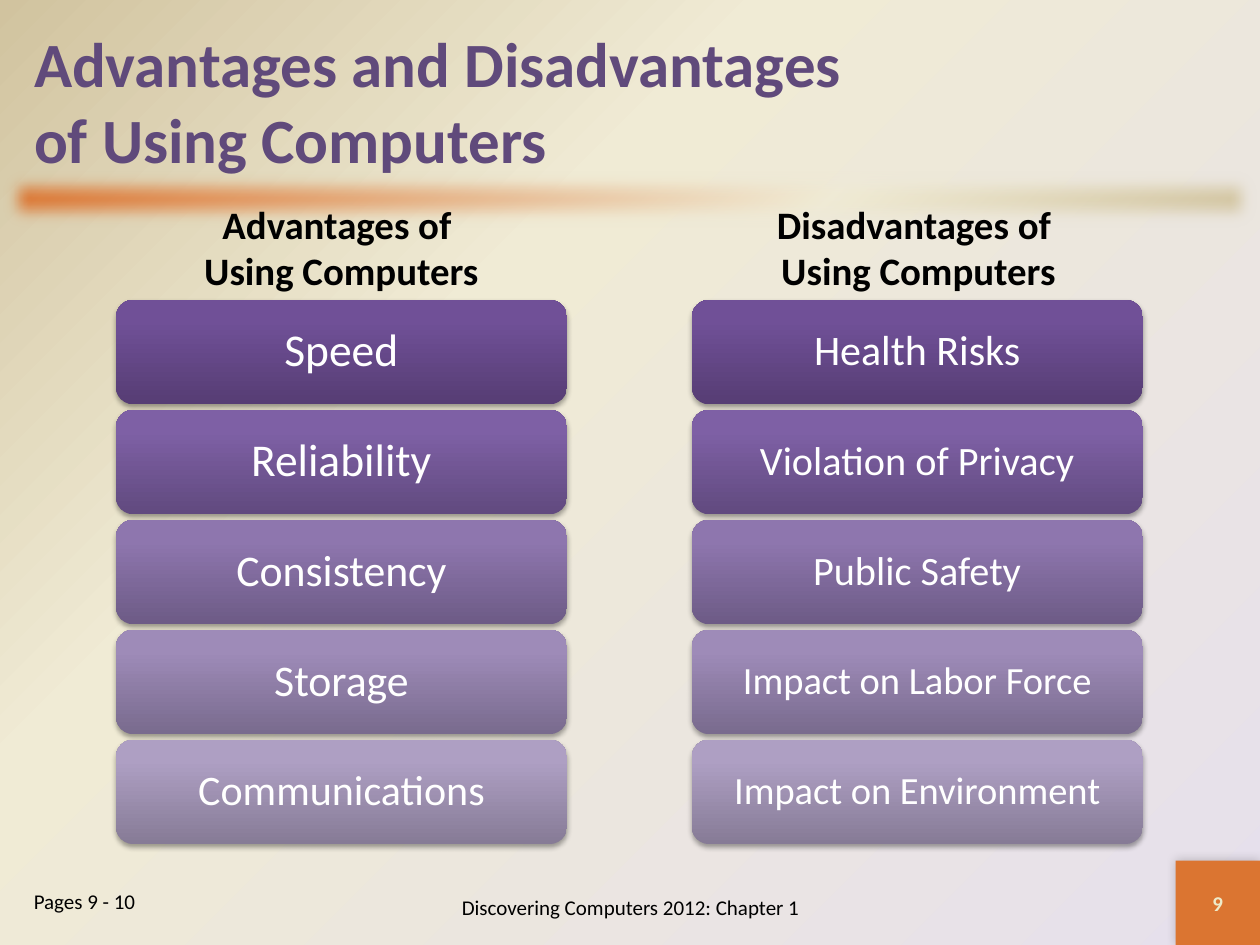
from lxml import etree
from pptx import Presentation
from pptx.dml.color import RGBColor
from pptx.enum.shapes import MSO_SHAPE
from pptx.enum.text import MSO_ANCHOR, MSO_AUTO_SIZE, PP_ALIGN
from pptx.oxml.ns import qn
from pptx.util import Inches, Pt

LEFT, CENTER = PP_ALIGN.LEFT, PP_ALIGN.CENTER
TOP, MIDDLE, BOTTOM = MSO_ANCHOR.TOP, MSO_ANCHOR.MIDDLE, MSO_ANCHOR.BOTTOM
RECTANGLE, ROUNDED = MSO_SHAPE.RECTANGLE, MSO_SHAPE.ROUNDED_RECTANGLE
NO_AUTOFIT = MSO_AUTO_SIZE.NONE
FONT = "Calibri"

COLORS = {
    "title": "604A7B", "text": "000000", "box_text": "FFFFFF",
    "number": "EEEBCA", "orange": "DB7531", "cream": "F0EBD5",
    "tan": "D1C39F", "lavender": "E6E0EC",
}
BOX_GRADIENTS = [
    ("563D74", "705097", "704F99"),
    ("614A7F", "7E60A5", "7F60A7"),
    ("6D5B86", "8E76AE", "8E75B0"),
    ("796B8E", "9E8BB8", "9E8BBA"),
    ("867B96", "AE9FC3", "AE9FC4"),
]
TITLE = "Advantages and Disadvantages \vof Using Computers"
COLUMNS = [
    {"heading": "Advantages of \vUsing Computers", "heading_left": 0.5, "left": 0.92,
     "items": [("Speed", 26), ("Reliability", 26), ("Consistency", 25),
               ("Storage", 25), ("Communications", 24)]},
    {"heading": "Disadvantages of \vUsing Computers", "heading_left": 5.08, "left": 5.49,
     "items": [("Health Risks", 24), ("Violation of Privacy", 23), ("Public Safety", 23),
               ("Impact on Labor Force", 22), ("Impact on Environment", 22)]},
]
BOX_WIDTH, BOX_HEIGHT = 3.58, 0.83
FIRST_TOP, LAST_TOP = 2.38, 5.87
BOX_STEP = (LAST_TOP - FIRST_TOP) / (len(BOX_GRADIENTS) - 1)


def add_xml(parent, tag, **attributes):
    return etree.SubElement(parent, qn(tag), attributes)


def make_gradient(stops, angle=None):
    gradient = etree.Element(qn("a:gradFill"), rotWithShape="1")
    stop_list = add_xml(gradient, "a:gsLst")
    for position, color in stops:
        stop = add_xml(stop_list, "a:gs", pos=str(position * 1000))
        add_xml(stop, "a:srgbClr", val=color)
    if angle is None:
        circle = add_xml(gradient, "a:path", path="circle")
        add_xml(circle, "a:fillToRect", l="100000", t="100000")
        add_xml(gradient, "a:tileRect", r="-100000", b="-100000")
    else:
        add_xml(gradient, "a:lin", ang=str(angle * 60000), scaled="0")
    return gradient


def add_box(slide, preset, left, top, width, height, color, gradient=None):
    shape = slide.shapes.add_shape(
        preset, Inches(left), Inches(top), Inches(width), Inches(height))
    shape.shadow.inherit = False
    shape.line.fill.background()
    shape.fill.solid()
    shape.fill.fore_color.rgb = RGBColor.from_string(color)
    if gradient is not None:
        properties = shape._element.spPr
        properties.replace(properties.find(qn("a:solidFill")), gradient)
    return shape


def add_effect(shape, tag, **attributes):
    return add_xml(shape._element.spPr.find(qn("a:effectLst")), tag, **attributes)


def add_shadow(shape, opacity, blur, distance, direction):
    shadow = add_effect(shape, "a:outerShdw", blurRad=str(Pt(blur)), dist=str(Pt(distance)),
                        dir=str(direction * 60000), rotWithShape="0")
    color = add_xml(shadow, "a:srgbClr", val=COLORS["text"])
    add_xml(color, "a:alpha", val=str(opacity * 1000))


def set_text(shape, text, size, color, bold=False, align=CENTER, anchor=MIDDLE):
    frame = shape.text_frame
    frame.text = text
    frame.word_wrap = True
    frame.auto_size = NO_AUTOFIT
    frame.vertical_anchor = anchor
    paragraph = frame.paragraphs[0]
    paragraph.alignment = align
    for run in paragraph.runs:
        run.font.name = FONT
        run.font.size = Pt(size)
        run.font.bold = bold
        run.font.color.rgb = RGBColor.from_string(COLORS[color])


def add_label(slide, left, top, width, height, *style, **options):
    label = slide.shapes.add_textbox(
        Inches(left), Inches(top), Inches(width), Inches(height))
    set_text(label, *style, **options)


def add_column(slide, column):
    add_label(slide, column["heading_left"], 1.68, 4.42, 0.7,
              column["heading"], 22.2, "text", bold=True, anchor=BOTTOM)
    for index, ((text, size), colors) in enumerate(zip(column["items"], BOX_GRADIENTS)):
        box = add_box(slide, ROUNDED, column["left"], FIRST_TOP + index * BOX_STEP,
                      BOX_WIDTH, BOX_HEIGHT, colors[0],
                      make_gradient(zip((0, 80, 100), colors), 270))
        add_shadow(box, 35, 3.1, 1.8, 90)
        set_text(box, text, size, "box_text")
        box.text_frame.paragraphs[0].line_spacing = 0.9


def main():
    """Build the slide on advantages and disadvantages of using computers."""
    presentation = Presentation()
    presentation.slide_width, presentation.slide_height = Inches(10), Inches(7.5)
    slide = presentation.slides.add_slide(presentation.slide_layouts[5])

    slide.background.fill.solid()
    background = slide._element.find(".//" + qn("p:bgPr"))
    shared_stops = [(65, COLORS["cream"]), (100, COLORS["tan"])]
    background.replace(background[0], make_gradient([(0, COLORS["lavender"])] + shared_stops))

    divider = add_box(slide, RECTANGLE, 0, 1.33, 10, 0.5, COLORS["orange"],
                      make_gradient([(0, COLORS["orange"])] + shared_stops, 45))
    add_effect(divider, "a:softEdge", rad=str(Pt(10)))
    number_box = add_box(slide, RECTANGLE, 9.33, 6.83, 0.67, 0.67, COLORS["orange"])
    add_shadow(number_box, 20, 6, 0, 225)
    set_text(number_box, "9", 12, "number", bold=True)

    title = slide.shapes.title
    title.left, title.top = Inches(0.17), Inches(0.17)
    title.width, title.height = Inches(9.67), Inches(1.25)
    set_text(title, TITLE, 36, "title", bold=True, align=LEFT)

    for column in COLUMNS:
        add_column(slide, column)
    add_label(slide, 2.42, 7, 5.17, 0.4, "Discovering Computers 2012: Chapter 1", 12, "text")
    add_label(slide, 0.17, 7, 1.83, 0.33, "Pages 9 - 10", 12, "text", align=LEFT, anchor=TOP)
    presentation.save("out.pptx")


if __name__ == "__main__":
    main()
